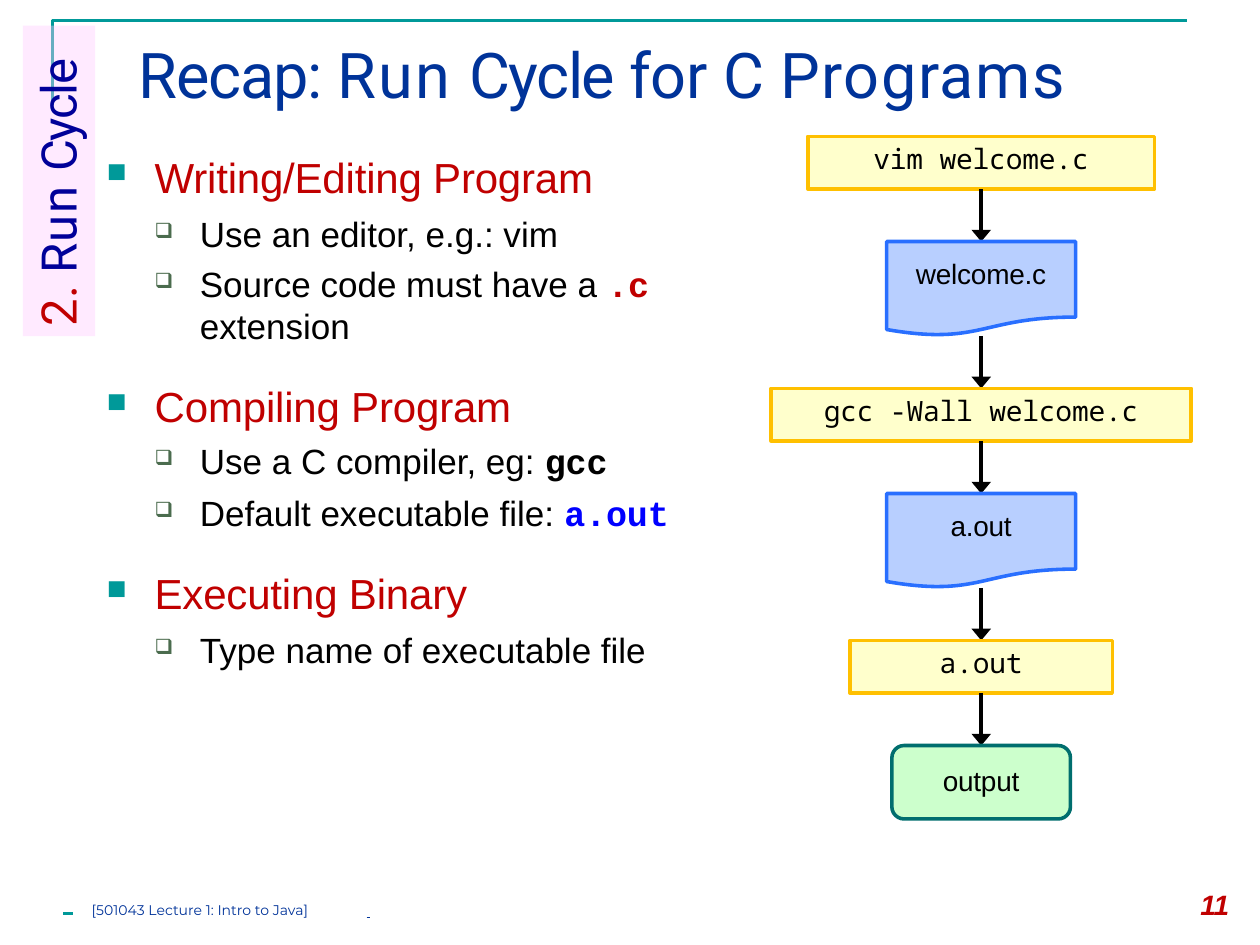
from lxml import etree
from pptx import Presentation
from pptx.dml.color import RGBColor
from pptx.enum.shapes import MSO_CONNECTOR, MSO_SHAPE
from pptx.enum.text import MSO_ANCHOR, PP_ALIGN
from pptx.oxml.ns import qn
from pptx.util import Cm, Pt

RECT = MSO_SHAPE.RECTANGLE
ROUND = MSO_SHAPE.ROUNDED_RECTANGLE
DOC = MSO_SHAPE.FLOWCHART_DOCUMENT
LINE = MSO_CONNECTOR.STRAIGHT
TOP = MSO_ANCHOR.TOP
LEFT, MID = PP_ALIGN.LEFT, PP_ALIGN.CENTER

BLACK = RGBColor(0x00, 0x00, 0x00)
NAVY = RGBColor(0x00, 0x33, 0x99)
INK = RGBColor(0x00, 0x00, 0x99)
BLUE = RGBColor(0x00, 0x00, 0xFF)
RED = RGBColor(0xC0, 0x00, 0x00)
TEAL = RGBColor(0x00, 0x99, 0x99)
MOSS = RGBColor(0x4B, 0x6C, 0x4E)
PINK = RGBColor(0xFF, 0xCC, 0xFF)
CREAM, GOLD = RGBColor(0xFF, 0xFF, 0xCC), RGBColor(0xFF, 0xC0, 0x00)
SKY, AZURE = RGBColor(0xB8, 0xCF, 0xFF), RGBColor(0x29, 0x6F, 0xFF)
MINT, PINE = RGBColor(0xCC, 0xFF, 0xCC), RGBColor(0x00, 0x6E, 0x6E)

# Text formats
TITLE = {"name": "Roboto", "size": Pt(36), "color": NAVY}
SIDE = {"name": "Roboto", "size": Pt(28), "color": INK}
HEAD = {"name": "Arial", "size": Pt(24), "color": RED}
BODY = {"name": "Arial", "size": Pt(20), "color": BLACK}
CODE = BODY | {"name": "Courier New", "bold": True}
LABEL = {"name": "Arial", "size": Pt(16), "color": BLACK}
MONO = LABEL | {"name": "Noto Sans Mono"}
FOOT = {"name": "Montserrat", "size": Pt(8), "color": NAVY}
PAGE = LABEL | {"color": RED, "bold": True, "italic": True}

# Bullet levels: mark, colour, size in percent, left margin, hanging indent
MARKS = [("■", TEAL, 65, Cm(0.99), Cm(0.97)),
         ("❑", MOSS, 60, Cm(1.9), Cm(0.91))]


class Deck:
    def __init__(self, wide, high):
        self.show = Presentation()
        self.show.slide_width, self.show.slide_height = Cm(wide), Cm(high)
        self.slide = self.show.slides.add_slide(self.show.slide_layouts[6])
        self.shapes = self.slide.shapes

    def runs(self, para, parts):
        """Add parts given as (text, format) or (text, format, spacing)."""
        for text, style, *gap in parts:
            run = para.add_run()
            run.text = text
            for key, value in style.items():
                if key == "color":
                    run.font.color.rgb = value
                else:
                    setattr(run.font, key, value)
            if gap:
                run._r.get_or_add_rPr().set("spc", str(round(gap[0] * 100)))

    def frame(self, shape, inset):
        frame = shape.text_frame
        values = {"margin_left": 0, "margin_right": 0, "margin_bottom": 0,
                  "margin_top": Cm(inset), "word_wrap": True,
                  "vertical_anchor": TOP}
        for key, value in values.items():
            setattr(frame, key, value)
        return frame

    def text(self, x, y, w, h, parts, pitch=None, turn=None, tabs=()):
        box = self.shapes.add_textbox(Cm(x), Cm(y), Cm(w), Cm(h))
        frame = self.frame(box, 0.03 if pitch is None else 0)
        if turn:
            frame._txBody.bodyPr.set("vert", turn)
        para = frame.paragraphs[0]
        para.alignment = LEFT
        if tabs:
            stops = etree.SubElement(para._p.get_or_add_pPr(), qn("a:tabLst"))
            for stop in tabs:
                etree.SubElement(stops, qn("a:tab"), pos=str(Cm(stop)), algn="l")
        if pitch:
            para.line_spacing = Pt(pitch)
        self.runs(para, parts)

    def bullets(self, x, y, w, h, inset, items):
        """Items are (level, space before, parts)."""
        box = self.shapes.add_textbox(Cm(x), Cm(y), Cm(w), Cm(h))
        frame = self.frame(box, inset)
        for i, (level, space, parts) in enumerate(items):
            para = frame.add_paragraph() if i else frame.paragraphs[0]
            mark, color, size, left, hang = MARKS[level]
            para.level = level
            props = para._p.get_or_add_pPr()
            props.set("marL", str(left))
            props.set("indent", str(-hang))
            tint = etree.SubElement(props, qn("a:buClr"))
            etree.SubElement(tint, qn("a:srgbClr"), val=str(color))
            etree.SubElement(props, qn("a:buSzPct"), val=str(size * 1000))
            etree.SubElement(props, qn("a:buChar"), char=mark)
            para.space_before = Pt(space)
            self.runs(para, parts)

    def box(self, kind, x, y, w, h, fill, edge=None, alpha=None):
        shape = self.shapes.add_shape(kind, Cm(x), Cm(y), Cm(w), Cm(h))
        shape.shadow.inherit = False
        shape.fill.solid()
        shape.fill.fore_color.rgb = fill
        if alpha:
            tint = shape._element.spPr.find(".//" + qn("a:srgbClr"))
            etree.SubElement(tint, qn("a:alpha"), val=str(alpha * 1000))
        if edge:
            shape.line.color.rgb = edge
            shape.line.width = Pt(2.04)
        else:
            shape.line.fill.background()
        return shape

    def node(self, kind, x, y, w, h, fill, edge, inset, label, style):
        frame = self.frame(self.box(kind, x, y, w, h, fill, edge), inset)
        frame.paragraphs[0].alignment = MID
        self.runs(frame.paragraphs[0], [(label, style, -0.1)])

    def line(self, x1, y1, x2, y2, color, width, arrow=False):
        line = self.shapes.add_connector(LINE, Cm(x1), Cm(y1), Cm(x2), Cm(y2))
        line.line.color.rgb = color
        line.line.width = Pt(width)
        props = line._element.spPr
        if arrow:
            etree.SubElement(props.find(qn("a:ln")), qn("a:tailEnd"),
                             type="triangle", w="lg", len="med")
        etree.SubElement(props, qn("a:effectLst"))

    def trace(self, points, color, width):
        first, *rest = [(Cm(x), Cm(y)) for x, y in points]
        pen = self.shapes.build_freeform(*first)
        pen.add_line_segments(rest, close=False)
        shape = pen.convert_to_shape()
        shape.shadow.inherit = False
        shape.fill.background()
        shape.line.color.rgb = color
        shape.line.width = Pt(width)


def main():
    deck = Deck(25.4, 19.05)

    # Frame lines and title
    deck.trace([(1.06, 2.12), (1.06, 0.42), (23.92, 0.42)], TEAL, 1.56)
    deck.line(1.27, 18.42, 1.48, 18.42, TEAL, 1.56)
    words = [("Recap: ", -0.6), ("Run ", 1.1), ("Cycle ", -0.9),
             ("for ", -0.1), ("C ", 0), ("Programs", 0.9)]
    deck.text(2.79, 0.69, 19.5, 1.6, [(word, TITLE, gap) for word, gap in words])

    # Flow chart: a column of nodes joined by arrows
    cmd = (RECT, 1.06, CREAM, GOLD, 0.1, MONO)
    doc = (DOC, 1.9, SKY, AZURE, 0.3, LABEL)
    end = (ROUND, 1.48, MINT, PINE, 0.3, LABEL)
    nodes = [(cmd, 6.99, "vim welcome.c"), (doc, 3.81, "welcome.c"),
             (cmd, 8.47, "gcc -Wall welcome.c"), (doc, 3.81, "a.out"),
             (cmd, 5.29, "a.out"), (end, 3.6, "output")]
    axis, y, gap = 19.78, 2.75, 1.06
    for i, (look, w, label) in enumerate(nodes):
        kind, h, fill, edge, inset, style = look
        if i:
            deck.line(axis, y, axis, y + gap, BLACK, 2.25, arrow=True)
            y += gap
        deck.node(kind, axis - w / 2, y, w, h, fill, edge, inset, label, style)
        y += h

    # Bullet lists
    deck.bullets(2.13, 2.77, 11.6, 4.32, 0.28, [
        (0, 0, [("Writing/Editing Program", HEAD, -0.1)]),
        (1, 6, [("Use an editor, e.g.: vim", BODY)]),
        (1, 4.7, [("Source code must have a ", BODY),
                  (".c", CODE | {"color": RED}, -0.1), (" extension", BODY)])])
    deck.bullets(2.13, 7.44, 11.6, 6.12, 0.23, [
        (0, 0, [("Compiling Program", HEAD, -0.1)]),
        (1, 4.7, [("Use a C compiler, eg: ", BODY), ("gcc", CODE, -0.1)]),
        (1, 6, [("Default executable file: ", BODY),
                ("a.out", CODE | {"color": BLUE}, -0.1)]),
        (0, 19.3, [("Executing Binary", HEAD, -0.1)]),
        (1, 6, [("Type name of executable file", BODY)])])

    # Side tab
    deck.box(RECT, 0.46, 0.52, 1.46, 6.26, PINK, alpha=40)
    deck.text(0.69, 0.99, 1.07, 5.59,
              [("2. ", SIDE | {"color": RED}), ("Run ", SIDE, 0.8),
               ("Cycle", SIDE, -0.7)], pitch=29.9, turn="vert270")

    # Footer
    deck.text(1.85, 17.91, 23.19, 0.71,
              [("[501043 Lecture 1: Intro to Java]\t", FOOT),
               (" \t", FOOT | {"underline": True}), ("11", PAGE, -0.1)],
              pitch=18.9, tabs=(5.54, 22.35))

    deck.show.save("out.pptx")


if __name__ == "__main__":
    main()
